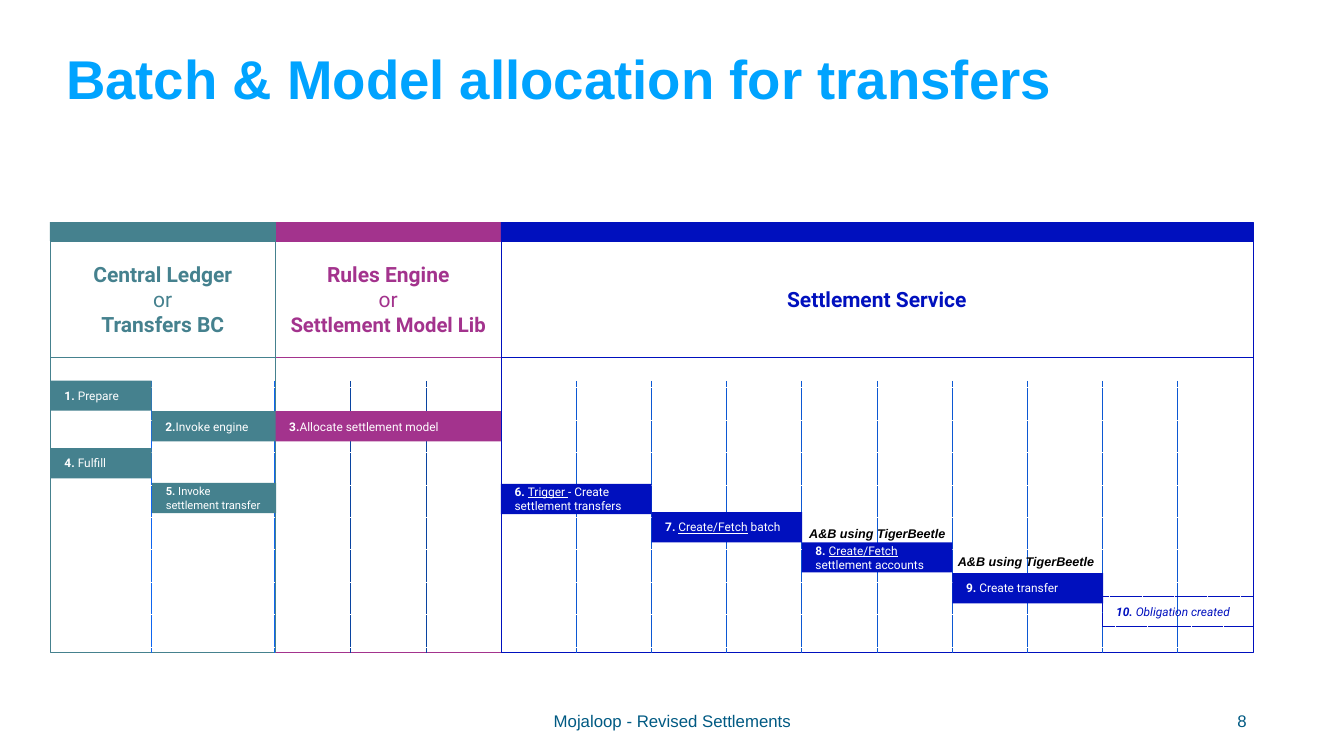
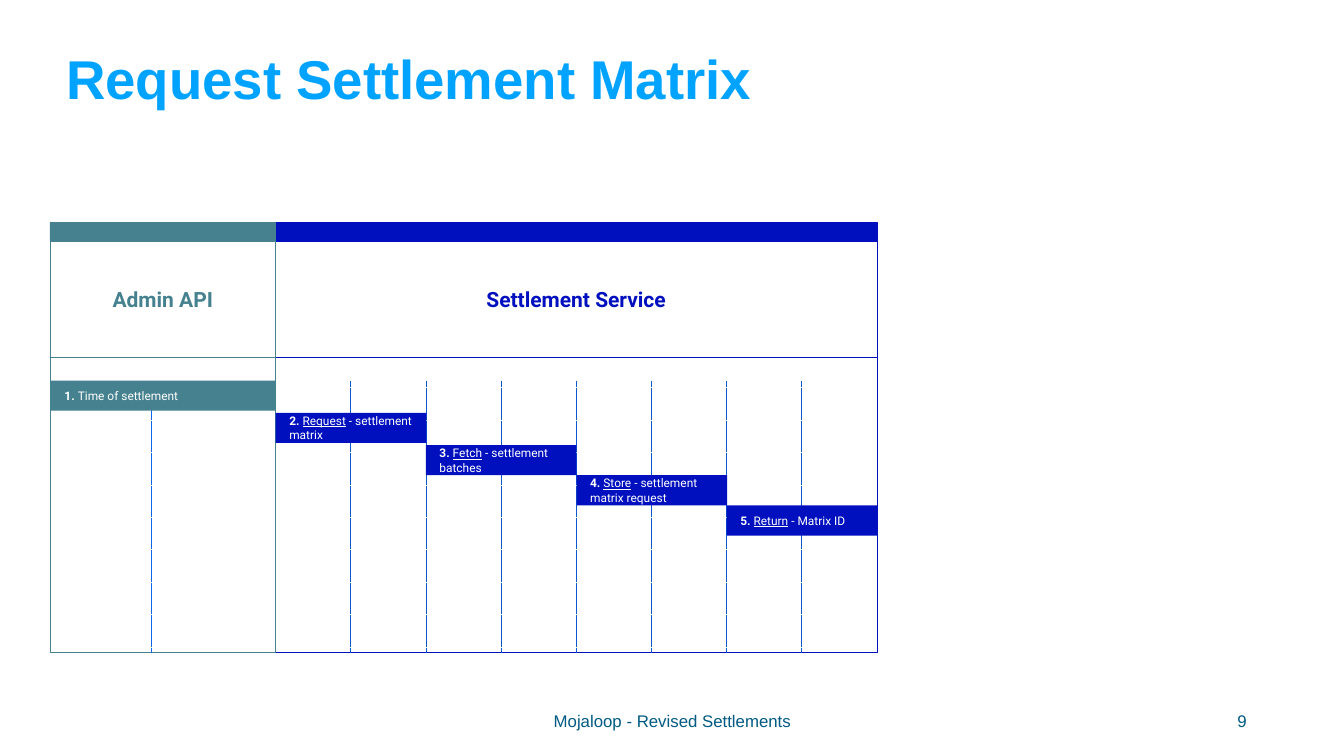
from lxml import etree
from pptx import Presentation
from pptx.dml.color import RGBColor
from pptx.enum import dml, shapes, text
from pptx.oxml import ns
from pptx.util import Pt

PX = 9144  # 100 px to the inch
rgb = RGBColor.from_string
TEAL, PURPLE, BLUE = "45818E", "A3338D", "0010BE"
TITLE, FOOTER, WHITE, BLACK = "00A3FF", "005A83", "FFFFFF", "000000"
TEAL_DOT, PURPLE_DOT, BLUE_DOT = "0E65F0", "0944A1", "0C58D3"
LEFT, CENTER, RIGHT = text.PP_ALIGN.LEFT, text.PP_ALIGN.CENTER, text.PP_ALIGN.RIGHT
MIDDLE, TOP = text.MSO_ANCHOR.MIDDLE, text.MSO_ANCHOR.TOP

# Shared vertical positions and column grid
LANE_TOP, BAND_H, HEAD_H, LANE_H = 441, 37, 231, 854
LANE_BOTTOM = LANE_TOP + LANE_H - 1
TICK_TOP, BAR_H, STEP_W = 755, 60, 299
cols = [round(546.8 + 149.2 * k) for k in range(14)]


def add_box(s, x, y, w, h, fill=None, line=None, dotted=False):
    sp = s.shapes.add_shape(shapes.MSO_SHAPE.RECTANGLE, x * PX, y * PX, w * PX, h * PX)
    sp.shadow.inherit = False
    if fill:
        sp.fill.solid()
        sp.fill.fore_color.rgb = rgb(fill)
    else:
        sp.fill.background()
    if line:
        sp.line.color.rgb = rgb(line)
        sp.line.width = Pt(0.75)
        if dotted:
            sp.line.dash_style = dml.MSO_LINE.ROUND_DOT
    else:
        sp.line.fill.background()
    return sp.text_frame


def write(tf, paragraphs, font, colour, align=LEFT, anchor=MIDDLE, inset=(10, 5)):
    """Each paragraph is a list of runs: (text, size, style letters from "biu")."""
    tf.word_wrap = True
    tf.auto_size = text.MSO_AUTO_SIZE.NONE
    tf.vertical_anchor = anchor
    tf.margin_left = tf.margin_right = inset[0] * PX
    tf.margin_top = tf.margin_bottom = inset[1] * PX
    for i, runs in enumerate(paragraphs):
        p = tf.paragraphs[0] if i == 0 else tf.add_paragraph()
        p.alignment = align
        for words, size, style in runs:
            r = p.add_run()
            r.text = words
            r.font.name, r.font.size = font, Pt(size)
            r.font.color.rgb = rgb(colour)
            r.font.bold, r.font.italic = "b" in style, "i" in style
            r.font.underline = "u" in style


# Lanes: left, right, colour, heading, tick colour, ticks
# Steps: left, top, width, colour, size, runs
service = [[("Settlement Service", 30, "b")]]
pages = [
    {
        "title": "Batch & Model allocation for transfers",
        "number": "8",
        "lanes": [
            (cols[0], cols[3], PURPLE,
             [[("Rules Engine", 30, "b")], [("or", 30, "")], [("Settlement Model Lib", 29, "b")]],
             PURPLE_DOT, cols[1:4]),
            (cols[3], cols[13], BLUE, service, BLUE_DOT, cols[4:13]),
            (99, cols[0], TEAL,
             [[("Central Ledger", 30, "b")], [("or", 30, "")], [("Transfers BC", 30, "b")]],
             TEAL_DOT, [300, 545]),
        ],
        "steps": [
            (101, 755, 200, TEAL, 17, [("1. ", "b"), ("Prepare", "")]),
            (301, 816, 246, TEAL, 17, [("2.", "b"), ("Invoke engine", "")]),
            (cols[0], 816, 447, PURPLE, 17, [("3.", "b"), ("Allocate settlement model", "")]),
            (101, 889, 200, TEAL, 17, [("4. ", "b"), ("Fulfill", "")]),
            (302, 958, 246, TEAL, 16, [("5. ", "b"), ("Invoke settlement transfer", "")]),
            (cols[3], 960, STEP_W, BLUE, 17,
             [("6. ", "b"), ("Trigger ", "u"), ("- Create settlement transfers", "")]),
            (cols[5], 1016, STEP_W, BLUE, 17,
             [("7. ", "b"), ("Create/Fetch", "u"), (" batch", "")]),
            (cols[7], 1076, STEP_W, BLUE, 17,
             [("8. ", "b"), ("Create/Fetch", "u"), (" settlement accounts", "")]),
            (cols[9], 1137, STEP_W, BLUE, 17, [("9. ", "b"), ("Create transfer", "")]),
            (cols[11], 1183, STEP_W, None, 17, [("10.", "bi"), (" Obligation created", "i")]),
        ],
        "notes": [(1596, 1033), (1891, 1089)],
    },
    {
        "title": "Request Settlement Matrix",
        "number": "9",
        "lanes": [
            (cols[0], cols[8], BLUE, service, BLUE_DOT, cols[1:8]),
            (99, cols[0], TEAL, [[("Admin API", 30, "b")]], TEAL_DOT, [300]),
        ],
        "steps": [
            (101, 755, 446, TEAL, 17, [("1. ", "b"), ("Time of settlement", "")]),
            (cols[0], 819, STEP_W, BLUE, 17,
             [("2. ", "b"), ("Request", "u"), (" - settlement matrix", "")]),
            (cols[2], 883, STEP_W, BLUE, 17,
             [("3. ", "b"), ("Fetch", "u"), (" - settlement batches", "")]),
            (cols[4], 943, STEP_W, BLUE, 17,
             [("4. ", "b"), ("Store", "u"), (" - settlement matrix request", "")]),
            (cols[6], 1003, STEP_W, BLUE, 17,
             [("5. ", "b"), ("Return", "u"), (" - Matrix ID", "")]),
        ],
        "notes": [],
    },
]

prs = Presentation()
prs.slide_width, prs.slide_height = 2667 * PX, 1500 * PX

for page in pages:
    s = prs.slides.add_slide(prs.slide_layouts[5])

    # Title
    title = s.shapes.title
    title.left, title.top, title.width, title.height = 121 * PX, 18 * PX, 2064 * PX, 290 * PX
    write(title.text_frame, [[(page["title"], 78, "b")]], "Arial", TITLE)
    title.text_frame.paragraphs[0].line_spacing = 0.9

    # Slide number and footer
    for x, w, words, align in [
        (1884, 600, page["number"], RIGHT),
        (710, 1248, "Mojaloop - Revised Settlements", CENTER),
    ]:
        tb = s.shapes.add_textbox(x * PX, 1390 * PX, w * PX, 80 * PX)
        write(tb.text_frame, [[(words, 24, "")]], "Arial", FOOTER, align)

    # Lanes: frame, colour band, heading and dotted ticks
    for left, right, colour, heading, dot, ticks in page["lanes"]:
        w = right - left
        add_box(s, left, LANE_TOP, w, LANE_H, line=colour)
        add_box(s, left, LANE_TOP, w, BAND_H, fill=colour)
        tf = add_box(s, left, LANE_TOP + BAND_H, w, HEAD_H, line=colour)
        write(tf, heading, "Roboto", colour, CENTER, inset=(27, 27))
        for x in ticks:
            cn = s.shapes.add_connector(shapes.MSO_CONNECTOR.STRAIGHT,
                                        x * PX, LANE_BOTTOM * PX, x * PX, TICK_TOP * PX)
            cn.line.color.rgb = rgb(dot)
            cn.line.width = Pt(0.75)
            cn.line.dash_style = dml.MSO_LINE.ROUND_DOT
            etree.SubElement(cn._element.spPr, ns.qn("a:effectLst"))

    # Steps: filled bars, or a dotted outline for the outcome
    for x, y, w, fill, size, runs in page["steps"]:
        tf = add_box(s, x, y, w, BAR_H, fill, None if fill else BLUE, dotted=True)
        write(tf, [[(words, size, style) for words, style in runs]],
              "Roboto", WHITE if fill else BLUE, inset=(27, 27))

    # Notes above the ledger steps
    for x, y in page["notes"]:
        tb = s.shapes.add_textbox(x * PX, y * PX, STEP_W * PX, 50 * PX)
        write(tb.text_frame, [[("A&B using TigerBeetle", 18, "bi")]],
              "Arial", BLACK, anchor=TOP, inset=(10, 10))

prs.save("out.pptx")
